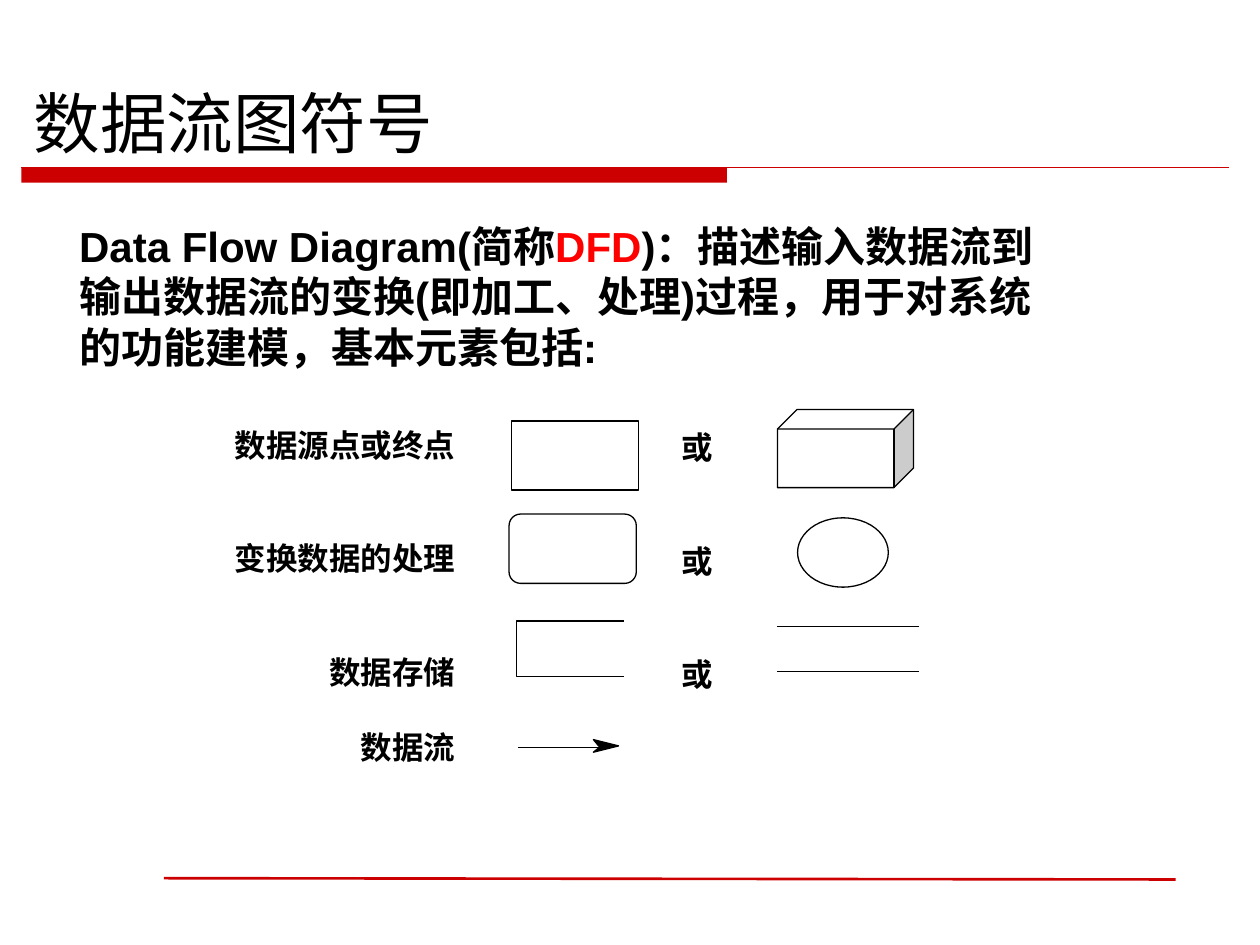
from dataclasses import dataclass
from typing import Optional

from lxml.etree import SubElement
from pptx import Presentation
from pptx.dml.color import RGBColor
from pptx.enum.shapes import MSO_CONNECTOR as Link, MSO_SHAPE as Kind
from pptx.enum.text import MSO_ANCHOR as Anchor, PP_ALIGN as Align
from pptx.oxml.ns import qn
from pptx.util import Inches, Pt

COLOR = {"black": "000000", "white": "FFFFFF", "band": "CC0000", "red": "FF0000"}


@dataclass
class Symbol:
    kind: Kind
    left: float
    top: float
    width: float
    height: float
    fill: str = "white"
    line: Optional[str] = "black"


@dataclass
class Rule:
    start: tuple[float, float]
    end: tuple[float, float]
    color: str = "black"
    width: float = 0.75


@dataclass
class Label:
    text: str
    gap: float = 0  # points before


def rgb(name: str) -> RGBColor:
    return RGBColor.from_string(COLOR[name])


def paint(shape, fill: Optional[str], line: Optional[str]) -> None:
    shape.shadow.inherit = False
    if fill:
        shape.fill.solid()
        shape.fill.fore_color.rgb = rgb(fill)
    else:
        shape.fill.background()
    if line:
        shape.line.color.rgb = rgb(line)
        shape.line.width = Pt(0.75)
    else:
        shape.line.fill.background()


def add_symbol(shapes, item: Symbol) -> None:
    box = map(Inches, (item.left, item.top, item.width, item.height))
    paint(shapes.add_shape(item.kind, *box), item.fill, item.line)


def add_rule(shapes, rule: Rule) -> None:
    ends = map(Inches, (*rule.start, *rule.end))
    line = shapes.add_connector(Link.STRAIGHT, *ends)
    line.line.color.rgb = rgb(rule.color)
    line.line.width = Pt(rule.width)
    SubElement(line._element.spPr, qn("a:effectLst"))


def add_path(shapes, points: list[tuple[float, float]], fill: Optional[str] = None) -> None:
    first, *rest = [(Inches(x), Inches(y)) for x, y in points]
    path = shapes.build_freeform(*first)
    path.add_line_segments(rest, close=fill is not None)
    paint(path.convert_to_shape(), fill, "black")


def add_frame(shapes, left: float, top: float, width: float, height: float):
    box = shapes.add_textbox(*map(Inches, (left, top, width, height)))
    box.text_frame.word_wrap = True
    return box.text_frame


def set_font(para, name: str, size: float, bold: bool = True) -> None:
    para.font.name = name
    para.font.size = Pt(size)
    para.font.bold = bold
    para.font.color.rgb = rgb("black")


def add_labels(frame, labels: list[Label], align: Align) -> None:
    for i, label in enumerate(labels):
        para = frame.add_paragraph() if i else frame.paragraphs[0]
        para.text = label.text
        para.alignment = align
        para.line_spacing = Pt(LINE)
        if label.gap:
            para.space_before = Pt(label.gap)
        set_font(para, "Calibri", 18)


LINE = 21.6
LABELS = [
    Label("数据源点或终点"),
    Label("变换数据的处理", 2 * LINE),
    Label("数据存储", 2 * LINE),
    Label("数据流", LINE),
]
CHOICES = [Label("或", 2 * LINE if i else 0) for i in range(3)]
SYMBOLS = [
    Symbol(Kind.RECTANGLE, 4.06, 3.34, 1.01, 0.55),
    Symbol(Kind.ROUNDED_RECTANGLE, 4.04, 4.08, 1.01, 0.55),
    Symbol(Kind.CUBE, 6.17, 3.25, 1.08, 0.62),
    Symbol(Kind.OVAL, 6.33, 4.11, 0.72, 0.55),
]
RULES = [
    Rule((0.17, 1.33), (9.75, 1.33), "band"),
    Rule((1.3, 6.97), (9.33, 6.98), "band", 1.5),
    Rule((6.17, 4.97), (7.29, 4.97)),
    Rule((6.17, 5.33), (7.29, 5.33)),
    Rule((4.11, 5.93), (4.8, 5.93)),
]
STORE = [(4.95, 5.37), (4.1, 5.37), (4.1, 4.93), (4.95, 4.93)]
HEAD = [(4.76, 5.93), (4.71, 5.87), (4.91, 5.92), (4.71, 5.97)]
INTRO = [
    ("Data Flow Diagram(简称", "black"),
    ("DFD", "red"),
    (")：描述输入数据流到输出数据流的变换(即加工、处理)过程，"
     "用于对系统的功能建模，基本元素包括:", "black"),
]


def main() -> None:
    deck = Presentation()
    deck.slide_width, deck.slide_height = Inches(10), Inches(7.5)
    shapes = deck.slides.add_slide(deck.slide_layouts[6]).shapes

    # Title and its band
    add_symbol(shapes, Symbol(Kind.RECTANGLE, 0.17, 1.33, 5.6, 0.12, "band", None))
    frame = add_frame(shapes, 0.17, 0.6, 9.75, 0.73)
    frame.vertical_anchor = Anchor.BOTTOM
    title = frame.paragraphs[0]
    title.text = "数据流图符号"
    set_font(title, "Noto Sans CJK SC", 38, bold=False)

    # Introduction
    intro = add_frame(shapes, 0.53, 1.7, 7.97, 1.3).paragraphs[0]
    intro.line_spacing = Pt(28.8)
    set_font(intro, "Arial", 24)
    for text, color in INTRO:
        run = intro.add_run()
        run.text = text
        run.font.color.rgb = rgb(color)

    # Names of the elements
    add_labels(add_frame(shapes, 1.59, 3.33, 2.12, 2.89), LABELS, Align.RIGHT)
    add_labels(add_frame(shapes, 5.31, 3.35, 0.8, 2.32), CHOICES, Align.LEFT)

    # Symbols, data store and arrow
    for item in SYMBOLS:
        add_symbol(shapes, item)
    for rule in RULES:
        add_rule(shapes, rule)
    add_path(shapes, STORE)
    add_path(shapes, HEAD, "black")

    deck.save("out.pptx")


if __name__ == "__main__":
    main()
